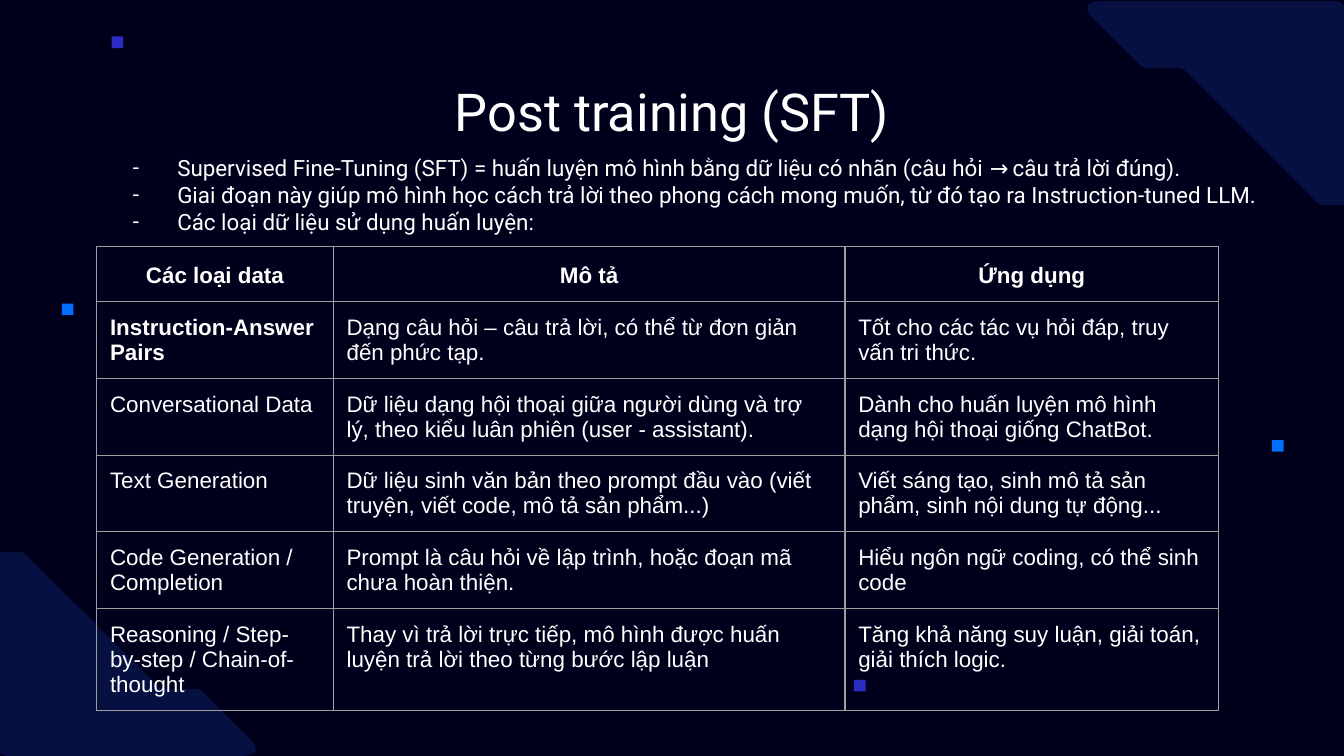
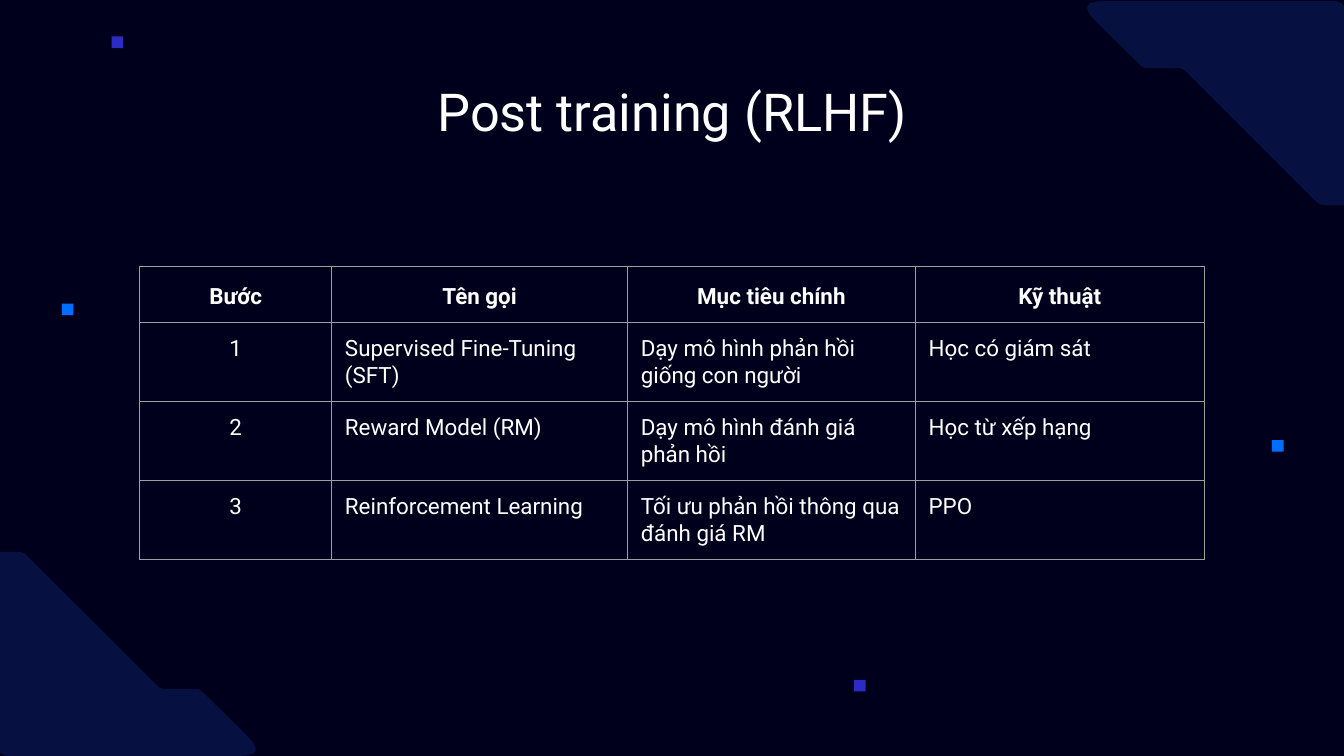
import math

from lxml import etree
from pptx import Presentation
from pptx.dml.color import RGBColor
from pptx.enum import shapes, text
from pptx.oxml import ns
from pptx.util import Cm, Pt

NAVY, PANEL, BLUE, VIOLET = "00001C", "061041", "006EFF", "2C2CC5"
WHITE, GREY = "FFFFFF", "9E9E9E"
ROBOTO, ARIAL = "Roboto", "Arial"
INSET = Cm(0.25)
LEFT, CENTER = text.PP_ALIGN.LEFT, text.PP_ALIGN.CENTER

# Stepped corner panel: x, y and rounding of each corner, in cm
PANEL_CORNERS = [
    (4.88, 3.86, 0), (4.37, 3.86, 0.1), (1.78, 1.27, 0.08), (1.04, 1.27, 0.08),
    (-0.25, 0, 0.54), (4.86, 0, 0.23), (4.88, 3.88, 0),
]
SQUARE = 0.22
SQUARES = [(24.04, 8.32, BLUE), (1.17, 5.74, BLUE),
           (2.11, 0.69, VIOLET), (16.14, 12.85, VIOLET)]

SFT_POINTS = [
    "Supervised Fine-Tuning (SFT) = huấn luyện mô hình bằng dữ liệu có nhãn (câu hỏi → câu trả lời đúng).",
    "Giai đoạn này giúp mô hình học cách trả lời theo phong cách mong muốn, từ đó tạo ra Instruction-tuned LLM.",
    "Các loại dữ liệu sử dụng huấn luyện:",
]
SFT_ROWS = [
    ["Các loại data", "Mô tả", "Ứng dụng"],
    ["Instruction-Answer Pairs",
     "Dạng câu hỏi – câu trả lời, có thể từ đơn giản đến phức tạp.",
     "Tốt cho các tác vụ hỏi đáp, truy vấn tri thức."],
    ["Conversational Data",
     "Dữ liệu dạng hội thoại giữa người dùng và trợ lý, theo kiểu luân phiên (user - assistant).",
     "Dành cho huấn luyện mô hình dạng hội thoại giống ChatBot."],
    ["Text Generation",
     "Dữ liệu sinh văn bản theo prompt đầu vào (viết truyện, viết code, mô tả sản phẩm...)",
     "Viết sáng tạo, sinh mô tả sản phẩm, sinh nội dung tự động..."],
    ["Code Generation / Completion",
     "Prompt là câu hỏi về lập trình, hoặc đoạn mã chưa hoàn thiện.",
     "Hiểu ngôn ngữ coding, có thể sinh code"],
    ["Reasoning / Step-by-step / Chain-of-thought",
     "Thay vì trả lời trực tiếp, mô hình được huấn luyện trả lời theo từng bước lập luận",
     "Tăng khả năng suy luận, giải toán, giải thích logic."],
]
RLHF_ROWS = [
    ["Bước", "Tên gọi", "Mục tiêu chính", "Kỹ thuật"],
    ["1", "Supervised Fine-Tuning (SFT)", "Dạy mô hình phản hồi giống con người", "Học có giám sát"],
    ["2", "Reward Model (RM)", "Dạy mô hình đánh giá phản hồi", "Học từ xếp hạng"],
    ["3", "Reinforcement Learning", "Tối ưu phản hồi thông qua đánh giá RM", "PPO"],
]


# Formatting helpers
def rgb(value):
    return RGBColor.from_string(value)


def set_all(obj, values):
    for name, value in values.items():
        setattr(obj, name, value)


def paint(sp, color):
    sp.fill.solid()
    sp.fill.fore_color.rgb = rgb(color)
    sp.line.fill.background()
    sp.shadow.inherit = False


def add_xml(parent, tag, **attrs):
    return etree.SubElement(parent, ns.qn(tag), attrs)


def write(p, words, size=12, font=ROBOTO, bold=False, align=LEFT, spacing=1.0):
    set_all(p, {"alignment": align, "line_spacing": spacing,
                "space_before": Pt(0), "space_after": Pt(0)})
    r = p.add_run()
    r.text = words
    set_all(r.font, {"size": Pt(size), "name": font, "bold": bold})
    r.font.color.rgb = rgb(WHITE)


def prepare(sp, box):
    set_all(sp, dict(zip(("left", "top", "width", "height"), map(Cm, box))))
    tf = sp.text_frame
    set_all(tf, {"word_wrap": True, "auto_size": text.MSO_AUTO_SIZE.NONE,
                 "vertical_anchor": text.MSO_ANCHOR.TOP,
                 "margin_left": INSET, "margin_right": INSET,
                 "margin_top": INSET, "margin_bottom": INSET})
    return tf


# Decoration shared through the master
def rounded_outline(corners, steps=6):
    points = []
    for i, (x, y, cut) in enumerate(corners):
        if not cut:
            points.append((x, y))
            continue
        ends = []
        for nx, ny, _ in (corners[i - 1], corners[i + 1]):
            t = cut / math.hypot(nx - x, ny - y)
            ends.append((x + (nx - x) * t, y + (ny - y) * t))
        (ax, ay), (bx, by) = ends
        for k in range(steps + 1):
            t = k / steps
            a, c, b = (1 - t) ** 2, 2 * t * (1 - t), t * t
            points.append((a * ax + c * x + b * bx, a * ay + c * y + b * by))
    return [(round(x * 1000), round(y * 1000)) for x, y in points]


def add_panel(s, left, top, rotation):
    points = rounded_outline(PANEL_CORNERS)
    builder = s.shapes.build_freeform(*points[0], scale=Cm(1) / 1000)
    builder.add_line_segments(points[1:], close=True)
    sp = builder.convert_to_shape()
    set_all(sp, {"left": Cm(left), "top": Cm(top), "rotation": rotation})
    paint(sp, PANEL)
    return sp


def add_square(s, left, top, color):
    sp = s.shapes.add_shape(shapes.MSO_SHAPE.RECTANGLE, Cm(left), Cm(top),
                            Cm(SQUARE), Cm(SQUARE))
    paint(sp, color)
    return sp


def decorate_master(prs, s):
    master = prs.slide_master
    master.background.fill.solid()
    master.background.fill.fore_color.rgb = rgb(NAVY)
    parts = [add_panel(s, -0.07, 10.41, 180), add_panel(s, 20.55, 0.02, 0)]
    parts += [add_square(s, *square) for square in SQUARES]
    for number, sp in enumerate(parts, 100):
        sp.element.xpath(".//p:cNvPr")[0].set("id", str(number))
        master.shapes.element.append(sp.element)


# Title, list and table
def add_title(s, words):
    tf = prepare(s.shapes.title, (2.0, 1.24, 21.4, 1.6))
    write(tf.paragraphs[0], words, size=28, align=CENTER)


def add_list(s, box, points):
    tf = prepare(s.placeholders[1], box)
    for i, words in enumerate(points):
        p = tf.add_paragraph() if i else tf.paragraphs[0]
        write(p, words)
        pPr = p._p.get_or_add_pPr()
        pPr.set("marL", str(Cm(1.27)))
        pPr.set("indent", str(Cm(-0.84)))
        add_xml(add_xml(pPr, "a:buClr"), "a:srgbClr", val=WHITE)
        add_xml(pPr, "a:buFont", typeface=ROBOTO)
        add_xml(pPr, "a:buChar", char="-")


def style_cell(cell):
    set_all(cell, {"margin_left": INSET, "margin_right": INSET,
                   "margin_top": INSET, "margin_bottom": INSET,
                   "vertical_anchor": text.MSO_ANCHOR.TOP})
    cell.fill.background()
    tcPr = cell._tc.get_or_add_tcPr()
    for i, side in enumerate(("a:lnL", "a:lnR", "a:lnT", "a:lnB")):
        ln = add_xml(tcPr, side, w=str(Pt(0.75)))
        add_xml(add_xml(ln, "a:solidFill"), "a:srgbClr", val=GREY)
        tcPr.insert(i, ln)


def add_grid(s, left, top, widths, heights, rows, font, bold=(), centred=()):
    table = s.shapes.add_table(len(rows), len(widths), Cm(left), Cm(top),
                               Cm(sum(widths)), Cm(sum(heights))).table
    set_all(table, {"first_row": False, "horz_banding": False})
    for column, width in zip(table.columns, widths):
        column.width = Cm(width)
    for i, (words, height) in enumerate(zip(rows, heights)):
        table.rows[i].height = Cm(height)
        for j, word in enumerate(words):
            cell = table.cell(i, j)
            style_cell(cell)
            header = i == 0
            write(cell.text_frame.paragraphs[0], word, font=font,
                  bold=header or (i, j) in bold,
                  align=CENTER if header or j in centred else LEFT,
                  spacing=1.15 if header else 1.0)


# Slides
def sft_slide(prs):
    s = prs.slides.add_slide(prs.slide_layouts[1])
    add_title(s, "Post training (SFT)")
    add_list(s, (1.83, 2.67, 22.58, 9.73), SFT_POINTS)
    add_grid(s, 1.83, 4.66, (4.47, 9.67, 7.06), (0.79, *[1.17] * 4, 1.55),
             SFT_ROWS, ARIAL, bold={(1, 0)})
    return s


def rlhf_slide(prs):
    s = prs.slides.add_slide(prs.slide_layouts[5])
    add_title(s, "Post training (RLHF)")
    add_grid(s, 2.64, 5.03, (3.63, 5.59, 5.44, 5.46), [1.07] * 4,
             RLHF_ROWS, ROBOTO, centred={0})


def main():
    prs = Presentation()
    set_all(prs, {"slide_width": Cm(25.4), "slide_height": Cm(14.29)})
    decorate_master(prs, sft_slide(prs))
    rlhf_slide(prs)
    prs.save("out.pptx")


if __name__ == "__main__":
    main()
